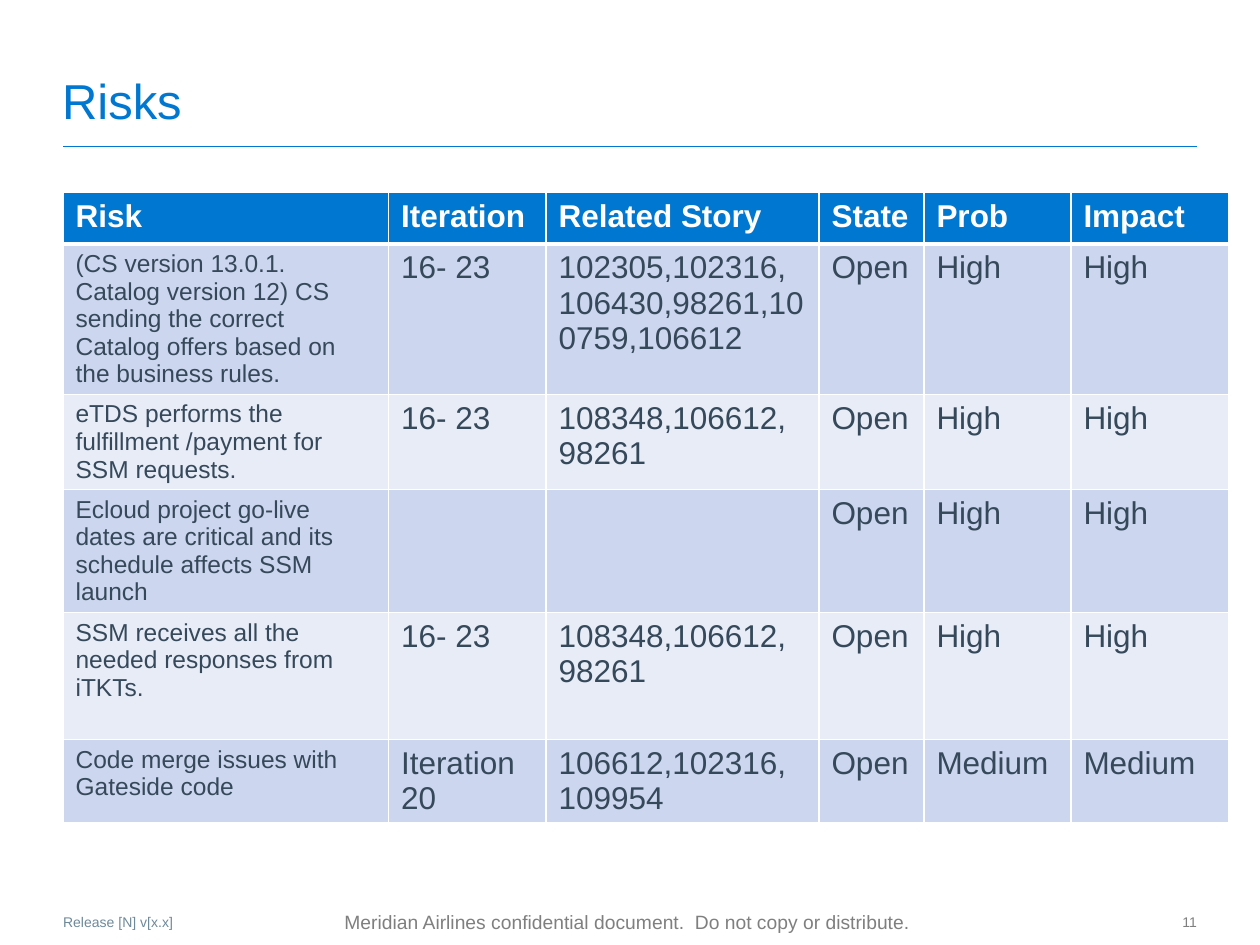
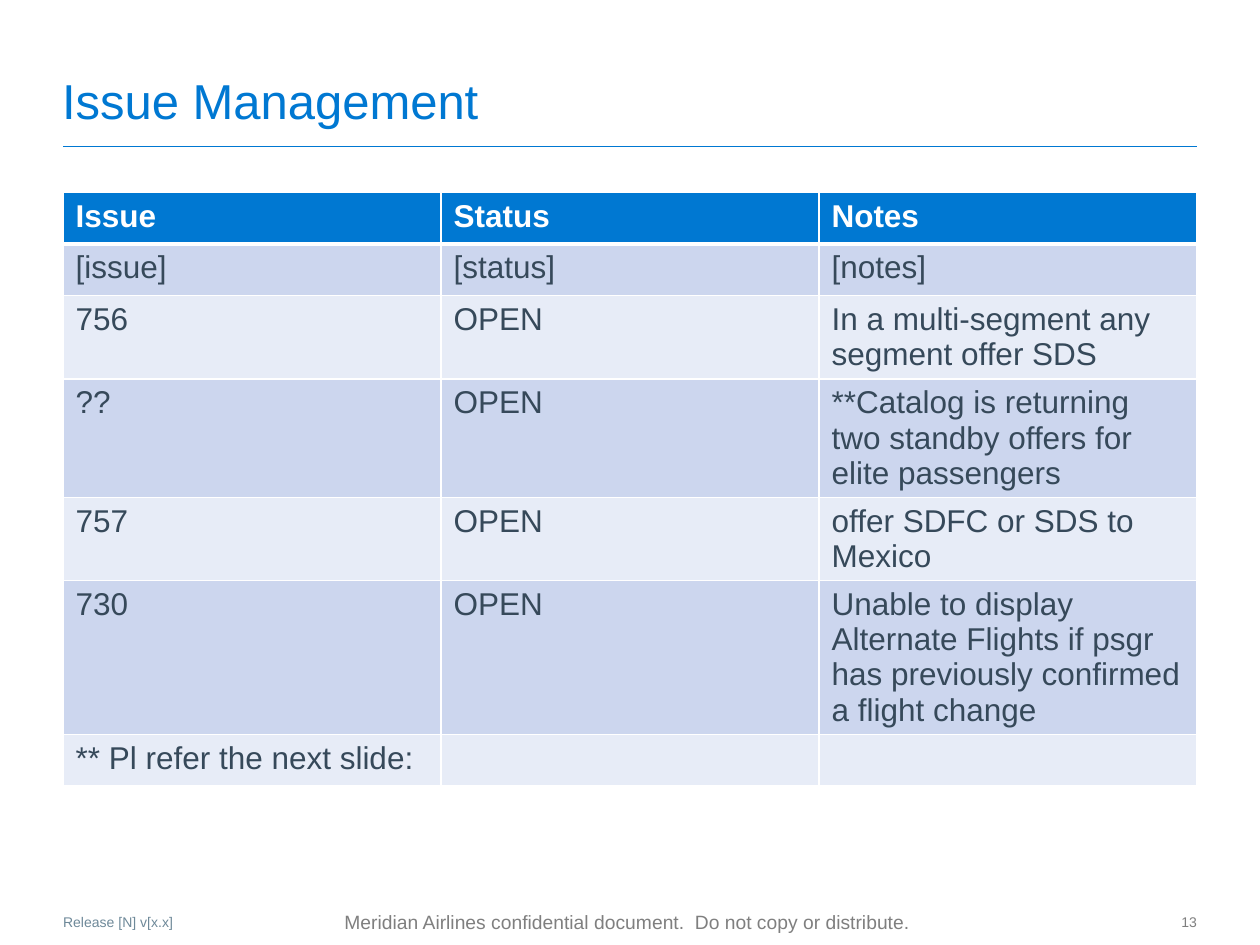
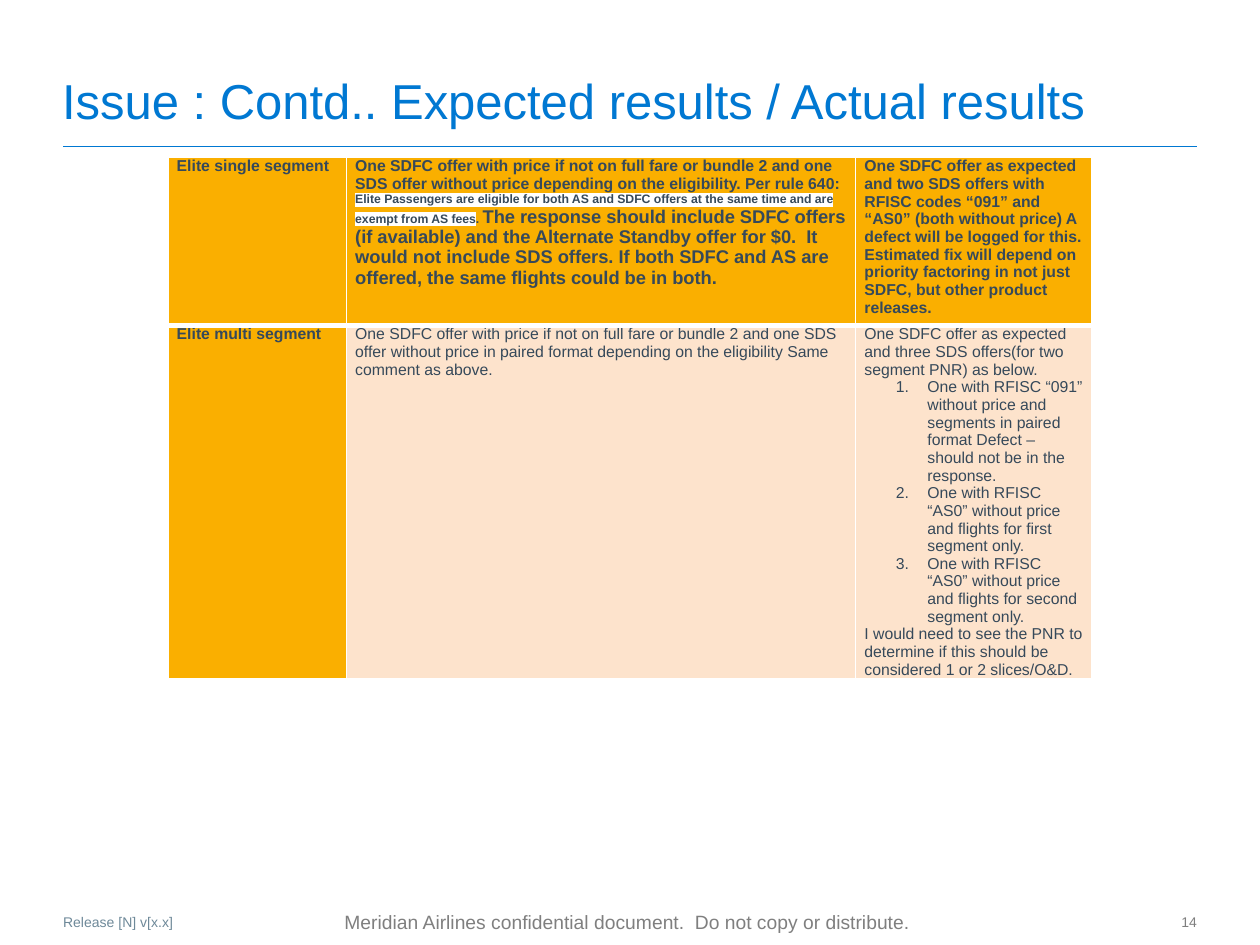
import dataclasses

import lxml.etree
import pptx
import pptx.dml.color
import pptx.enum.shapes
import pptx.enum.text
import pptx.oxml.ns
import pptx.util

Pt = pptx.util.Pt
qn = pptx.oxml.ns.qn


@dataclasses.dataclass(frozen=True)
class Theme:
    font: str = "Arial"
    blue: str = "0078D2"
    ink: str = "36495A"
    white: str = "FFFFFF"
    slate: str = "6E8999"
    grey: str = "7F7F7F"
    bands: tuple = ("CCD6EE", "E7ECF7")
    amber: str = "FAAF00"
    peach: str = "FDE3CC"
    title_size: float = 28
    table_size: float = 18
    risk_size: float = 14
    footer_size: float = 11
    emphasis_size: float = 10.5
    result_size: float = 9
    small_size: float = 8
    rule_size: float = 7


THEME = Theme()


@dataclasses.dataclass
class Span:
    text: str
    size: float = None
    highlight: str = None


@dataclasses.dataclass
class Step:
    """A numbered paragraph."""
    text: str


# Content
RELEASE = "Release [N] v[x.x]"
CONFIDENTIAL = "Meridian Airlines confidential document.  Do not copy or distribute."

RISKS = [
    ("Risk", "Iteration", "Related Story", "State", "Prob", "Impact"),
    ("(CS version 13.0.1. Catalog version 12) CS sending the correct Catalog offers "
     "based on the business rules.",
     "16- 23", "102305,102316, 106430,98261,100759,106612", "Open", "High", "High"),
    ("eTDS performs the fulfillment /payment for SSM requests.",
     "16- 23", ["108348,106612,", "98261"], "Open", "High", "High"),
    ("Ecloud project go-live dates are critical and its schedule affects SSM launch",
     "", "", "Open", "High", "High"),
    ("SSM receives all the needed responses from iTKTs.",
     "16- 23", ["108348,106612,", "98261"], "Open", "High", "High"),
    ("Code merge issues with Gateside code",
     "Iteration 20", ["106612,102316,", "109954"], "Open", "Medium", "Medium"),
]

ISSUES = [
    ("Issue", "Status", "Notes"),
    ("[issue]", "[status]", "[notes]"),
    ("756", "OPEN", "In a multi-segment any segment offer SDS"),
    ("??", "OPEN", "**Catalog is returning two standby offers for elite passengers"),
    ("757", "OPEN", "offer SDFC or SDS to Mexico"),
    ("730", "OPEN", "Unable to display Alternate Flights if psgr has previously "
                    "confirmed a flight change"),
    ("** Pl refer the next slide:", "", ""),
]

RESULTS = [
    ("Elite single segment",
     [[Span("One SDFC offer with price if not on full fare or bundle 2 and one SDS offer "
            "without price depending on the eligibility. Per rule 640: "),
       Span("Elite Passengers are eligible for both AS and SDFC offers at the same time "
            "and are exempt from AS fees", THEME.rule_size, THEME.white),
       Span(". ", THEME.rule_size),
       Span("The response should include SDFC offers (if available) and the Alternate "
            "Standby offer for $0.  It would not include SDS offers. If both SDFC and AS "
            "are offered, the same flights could be in both.", THEME.emphasis_size)]],
     "One SDFC offer as expected and two SDS offers with RFISC codes “091” and “AS0” "
     "(both without price) A defect will be logged for this. Estimated fix will depend on "
     "priority factoring in not just SDFC, but other product releases."),
    ("Elite multi segment",
     "One SDFC offer with price if not on full fare or bundle 2 and one SDS offer without "
     "price in paired format depending on the eligibility Same comment as above.",
     ["One SDFC offer as expected and three SDS offers(for two segment PNR) as below.",
      Step("One with RFISC “091” without price and segments in paired format Defect – "
           "should not be in the response."),
      Step("One with RFISC “AS0” without price and flights for first segment only."),
      Step("One with RFISC “AS0” without price and flights for second segment only."),
      "I would need to see the PNR to determine if this should be considered 1 or 2 "
      "slices/O&D."]),
]


# Cell styles: fill, text colour, size, bold
def banded_style(row, column, first_column_size=THEME.table_size):
    if row == 0:
        return THEME.blue, THEME.white, THEME.table_size, True
    size = first_column_size if column == 0 else THEME.table_size
    return THEME.bands[(row - 1) % 2], THEME.ink, size, False


def risk_style(row, column):
    return banded_style(row, column, THEME.risk_size)


def result_style(row, column):
    heading = row == 0 or column == 0
    return THEME.amber if heading else THEME.peach, THEME.ink, THEME.result_size, heading


ROW = 29.5
SLIDES = [
    dict(title="Risks", number=11, rows=RISKS, style=risk_style, corner=(36, 110),
         widths=[186, 90, 156, 60, 84, 90], heights=[ROW] * 4 + [72.7, ROW],
         insets=(7.2, 3.6)),
    dict(title="Issue Management", number=13, rows=ISSUES, style=banded_style,
         corner=(36, 110), widths=[216] * 3, heights=[ROW] * len(ISSUES),
         insets=(7.2, 3.6)),
    dict(title="Issue : Contd.. Expected results / Actual results", number=14,
         rows=RESULTS, style=result_style, corner=(96, 90), widths=[102, 291, 135],
         heights=[96, 199.5], insets=(5, 0)),
]


# Text
def rgb(value):
    return pptx.dml.color.RGBColor.from_string(value)


def set_font(paragraph, colour, size, bold=False):
    font = paragraph.font
    font.name, font.size, font.bold = THEME.font, Pt(size), bold
    font.color.rgb = rgb(colour)


def set_frame(frame, insets, anchor, wrap=True):
    frame.margin_left = frame.margin_right = Pt(insets[0])
    frame.margin_top = frame.margin_bottom = Pt(insets[1])
    frame.vertical_anchor = anchor
    frame.word_wrap = wrap
    frame.auto_size = pptx.enum.text.MSO_AUTO_SIZE.NONE


def place(shape, box):
    shape.left, shape.top, shape.width, shape.height = (Pt(value) for value in box)


def add_label(slide, text, box, colour, size, align="LEFT", anchor="TOP",
              insets=(0, 0), wrap=True):
    shape = slide.shapes.add_textbox(*(Pt(value) for value in box))
    set_frame(shape.text_frame, insets, pptx.enum.text.MSO_ANCHOR[anchor], wrap)
    paragraph = shape.text_frame.paragraphs[0]
    paragraph.text = text
    paragraph.alignment = pptx.enum.text.PP_ALIGN[align]
    set_font(paragraph, colour, size)


def add_spans(paragraph, spans):
    for span in spans:
        run = paragraph.add_run()
        run.text = span.text
        if span.size:
            run.font.size = Pt(span.size)
        if span.highlight:
            properties = run._r.get_or_add_rPr()
            highlight = lxml.etree.SubElement(properties, qn("a:highlight"))
            lxml.etree.SubElement(highlight, qn("a:srgbClr"), val=span.highlight)


def number_paragraph(paragraph):
    properties = paragraph._p.get_or_add_pPr()
    properties.set("marL", str(Pt(36)))
    properties.set("indent", str(Pt(-18)))
    number = lxml.etree.Element(qn("a:buAutoNum"), type="arabicPeriod")
    properties.insert(0, number)


# Tables
def set_borders(cell, top, bottom):
    properties = cell._tc.get_or_add_tcPr()
    for index, (side, width) in enumerate(
            [("lnL", 1), ("lnR", 1), ("lnT", top), ("lnB", bottom)]):
        line = lxml.etree.Element(qn("a:" + side), w=str(Pt(width)))
        fill = lxml.etree.SubElement(line, qn("a:solidFill"))
        lxml.etree.SubElement(fill, qn("a:srgbClr"), val=THEME.white)
        properties.insert(index, line)


def fill_cell(cell, content, style, insets):
    fill, colour, size, bold = style
    cell.fill.solid()
    cell.fill.fore_color.rgb = rgb(fill)
    cell.margin_left = cell.margin_right = Pt(insets[0])
    cell.margin_top = cell.margin_bottom = Pt(insets[1])
    frame = cell.text_frame
    for index, part in enumerate(content if isinstance(content, list) else [content]):
        paragraph = frame.add_paragraph() if index else frame.paragraphs[0]
        set_font(paragraph, colour, size, bold)
        if isinstance(part, Step):
            number_paragraph(paragraph)
            paragraph.text = part.text
        elif isinstance(part, list):
            add_spans(paragraph, part)
        elif part:
            paragraph.text = part


def add_grid(slide, rows, style, corner, widths, heights, insets):
    box = (*corner, sum(widths), sum(heights))
    table = slide.shapes.add_table(
        len(rows), len(widths), *(Pt(value) for value in box)).table
    table.horz_banding = table.first_row = False
    for column, width in zip(table.columns, widths):
        column.width = Pt(width)
    for row, height in zip(table.rows, heights):
        row.height = Pt(height)
    for r, contents in enumerate(rows):
        for c, content in enumerate(contents):
            cell = table.cell(r, c)
            fill_cell(cell, content, style(r, c), insets)
            set_borders(cell, top=3 if r == 1 else 1, bottom=3 if r == 0 else 1)


# Shared slide parts
def add_rule(slide):
    rule = slide.shapes.add_connector(
        pptx.enum.shapes.MSO_CONNECTOR.STRAIGHT, Pt(36), Pt(83.5), Pt(684), Pt(83.5))
    rule.line.color.rgb = rgb(THEME.blue)
    rule.line.width = Pt(0.5)
    lxml.etree.SubElement(rule._element.spPr, qn("a:effectLst"))


def set_title(slide, text):
    title = slide.shapes.title
    place(title, (35.5, 30, 648.5, 44))
    set_frame(title.text_frame, (0, 0), pptx.enum.text.MSO_ANCHOR.BOTTOM)
    paragraph = title.text_frame.paragraphs[0]
    paragraph.text = text
    paragraph.alignment = pptx.enum.text.PP_ALIGN.LEFT
    set_font(paragraph, THEME.blue, THEME.title_size)


def add_footer(slide, number):
    add_label(slide, CONFIDENTIAL, (144.5, 517, 428, 19), THEME.grey, THEME.footer_size,
              "CENTER", "MIDDLE", (7.2, 3.6), wrap=False)
    add_label(slide, RELEASE, (36, 522, 306, 10), THEME.slate, THEME.small_size)
    add_label(slide, str(number), (659, 522, 25, 11), THEME.grey, THEME.small_size, "RIGHT")


def main():
    presentation = pptx.Presentation()
    presentation.slide_width, presentation.slide_height = Pt(720), Pt(540)
    title_only = presentation.slide_layouts[5]
    for page in SLIDES:
        slide = presentation.slides.add_slide(title_only)
        add_rule(slide)
        set_title(slide, page["title"])
        add_footer(slide, page["number"])
        add_grid(slide, page["rows"], page["style"], page["corner"],
                 page["widths"], page["heights"], page["insets"])
    presentation.save("out.pptx")


if __name__ == "__main__":
    main()
